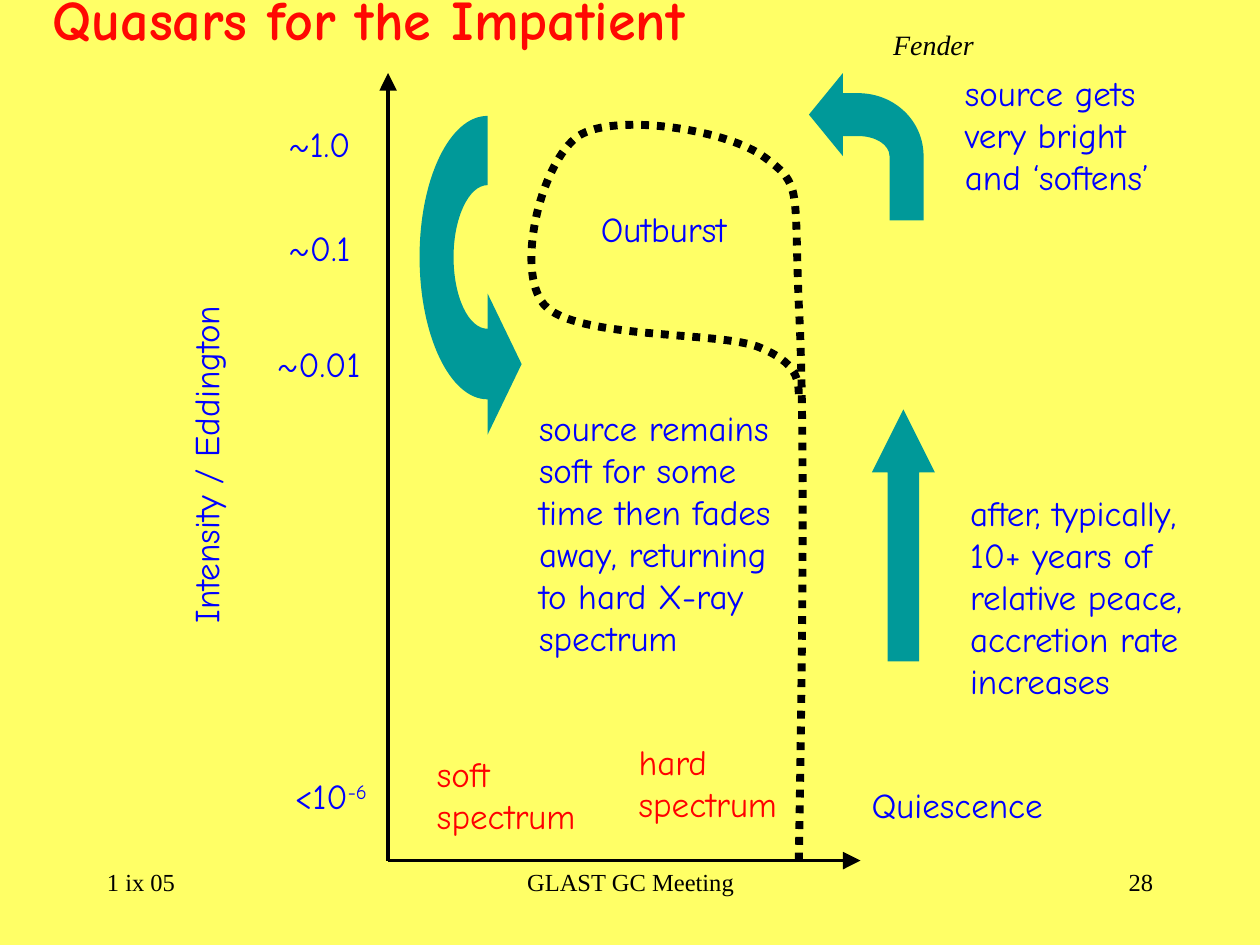
from lxml.etree import SubElement
from pptx import Presentation
from pptx.dml.color import RGBColor
from pptx.enum.dml import MSO_LINE
from pptx.enum.shapes import MSO_CONNECTOR, MSO_SHAPE
from pptx.enum.text import MSO_AUTO_SIZE, PP_ALIGN
from pptx.oxml.ns import qn
from pptx.util import Inches, Pt

YELLOW = RGBColor(0xFF, 0xFF, 0x66)
BLACK = RGBColor(0, 0, 0)
BLUE = RGBColor(0, 0, 0xFF)
RED = RGBColor(0xFF, 0, 0)
TITLE_RED = RGBColor(0xFF, 0x08, 0x02)
TEAL = RGBColor(0, 0x99, 0x99)
COMIC = "Comic Neue"
TIMES = "Times New Roman"


def add_text(shapes, text, x, y, w, h, size=20, font=COMIC, color=BLUE, bold=False,
             italic=False, align=PP_ALIGN.LEFT, wrap=False, grow=True, rotation=0, sup=""):
    """Add a text box with one paragraph per line and an optional superscript."""
    sp = shapes.add_textbox(Inches(x), Inches(y), Inches(w), Inches(h))
    sp.rotation = rotation
    tf = sp.text_frame
    tf.word_wrap = wrap
    tf.auto_size = MSO_AUTO_SIZE.SHAPE_TO_FIT_TEXT if grow else MSO_AUTO_SIZE.NONE
    for i, line in enumerate(text.split("\n")):
        p = tf.add_paragraph() if i else tf.paragraphs[0]
        p.alignment = align
        for part in filter(None, (line, sup)):
            r = p.add_run()
            r.text = part
            r.font.name, r.font.size = font, Pt(size)
            r.font.bold, r.font.italic = bold, italic
            r.font.color.rgb = color
            if part == sup:
                r.font._element.set("baseline", "30000")
    return sp


def add_outline(shapes, x, y, start, segments, close=True):
    """Add a freeform of lines (one point) and cubic curves (three), measured from x, y."""
    points = [(Inches(x + px), Inches(y + py)) for px, py in (start, *sum(segments, ()))]
    builder = shapes.build_freeform(*points[0], scale=1.0)
    builder.add_line_segments(points[1:], close=close)
    sp = builder.convert_to_shape()
    sp.shadow.inherit = False
    steps = iter(list(sp._element.iter(qn("a:lnTo"))))
    for seg in segments:
        first, *others = [next(steps) for _ in seg]
        if others:
            first.tag = qn("a:cubicBezTo")
            for step in others:
                first.append(step[0])
                step.getparent().remove(step)
    return sp


def fill_teal(sp):
    """Fill a shape with teal and remove its line."""
    sp.fill.solid()
    sp.fill.fore_color.rgb = TEAL
    sp.line.fill.background()


def add_axis(shapes, x1, y1, x2, y2):
    """Add an axis line with a large arrowhead at its end."""
    c = shapes.add_connector(MSO_CONNECTOR.STRAIGHT, *map(Inches, (x1, y1, x2, y2)))
    c.line.color.rgb = BLACK
    c.line.width = Pt(2)
    SubElement(c.line._get_or_add_ln(), qn("a:tailEnd"), type="triangle", w="lg", len="lg")
    SubElement(c._element.spPr, qn("a:effectLst"))


def add_track(shapes, x, y):
    """Add the dotted path of the source through the diagram."""
    sp = add_outline(shapes, x, y, (2.26, 5.94), [
        ((2.29, 4.2), (2.31, 2.46), (2.26, 1.53)),
        ((2.22, 0.6), (2.29, 0.58), (1.99, 0.36)),
        ((1.7, 0.14), (0.8, 0), (0.51, 0.19)),
        ((0.22, 0.39), (0, 1.25), (0.24, 1.53)),
        ((0.48, 1.8), (1.59, 1.74), (1.93, 1.86)),
        ((2.26, 1.99), (2.26, 2.13), (2.26, 2.28)),
    ], close=False)
    sp.fill.background()
    sp.line.color.rgb = BLACK
    sp.line.width = Pt(4.5)
    sp.line.dash_style = MSO_LINE.ROUND_DOT


def add_chart_frame(shapes, x, y, w, h):
    """Add both axes and their labels."""
    base = y + h
    add_axis(shapes, x, base, x + w, base)
    add_axis(shapes, x, base, x, y)
    add_text(shapes, "Intensity / Eddington", x - 2.81, y + 2.88, 2.73, 0.44, rotation=270)
    add_text(shapes, "<10", x - 0.84, y + 5.52, 0.8, 0.44, sup="-6")
    for label, dx, dy, width in (("~0.01", -0.98, 2.09, 0.86), ("~0.1", -0.89, 1.17, 0.69),
                                 ("~1.0", -0.89, 0.34, 0.69)):
        add_text(shapes, label, x + dx, y + dy, width, 0.44)
    for label, dx, dy in (("soft\nspectrum", 0.29, 5.34), ("hard\nspectrum", 1.89, 5.25)):
        add_text(shapes, label, x + dx, y + dy, 1.3, 0.77, color=RED)
    add_text(shapes, "Quiescence", x + 3.74, y + 5.59, 1.56, 0.44)


def add_rise(shapes, x, y):
    """Add the upward arrow and its note."""
    group = shapes.add_group_shape().shapes
    sp = group.add_shape(MSO_SHAPE.UP_ARROW, Inches(x), Inches(y), Inches(0.5), Inches(2))
    sp.adjustments[0], sp.adjustments[1] = 0.5, 1
    sp.shadow.inherit = False
    fill_teal(sp)
    add_text(group, "after, typically,\n10+ years of\nrelative peace,\naccretion rate\nincreases",
             x + 0.68, y + 0.6, 1.99, 1.77)


def add_outburst(shapes, x, y):
    """Add the bent arrow, the outburst label and the note."""
    group = shapes.add_group_shape().shapes
    add_text(group, "Outburst", x - 1.75, y + 1.02, 1.2, 0.44)
    fill_teal(add_outline(group, x, y, (0.91, 1.17), [
        ((0.91, 0.66),), ((0.91, 0.38), (0.68, 0.16), (0.39, 0.16)),
        ((0.27, 0.16),), ((0.27, 0),), ((0, 0.33),), ((0.27, 0.66),), ((0.27, 0.5),),
        ((0.39, 0.5),), ((0.53, 0.5), (0.64, 0.57), (0.64, 0.66)), ((0.64, 1.17),),
    ]))
    add_text(group, "source gets\nvery bright\nand ‘softens’", x + 1.14, y - 0.06, 1.67, 1.1)


def add_fade(shapes, x, y):
    """Add the curved arrow and its note."""
    group = shapes.add_group_shape().shapes
    fill_teal(add_outline(group, x, y, (0.54, 1.69), [
        ((0.39, 1.69), (0.27, 1.44), (0.27, 1.12)),
        ((0.27, 0.81), (0.39, 0.55), (0.54, 0.55)), ((0.54, 0),),
        ((0.24, 0), (0, 0.5), (0, 1.12)), ((0, 1.74), (0.24, 2.25), (0.54, 2.25)),
        ((0.54, 2.53),), ((0.81, 1.97),), ((0.54, 1.41),),
    ]))
    add_text(group, "source remains\nsoft for some\ntime then fades\naway, returning\n"
             "to hard X-ray\nspectrum", x + 0.85, y + 2.26, 2.04, 2.1)


def add_footer(shapes, x, y, h):
    """Add the date, the meeting name and the slide number."""
    for text, dx, w, align in (("GLAST GC Meeting", 2.67, 3.17, PP_ALIGN.CENTER),
                               ("28", 6.42, 2.08, PP_ALIGN.RIGHT),
                               ("1 ix 05", 0, 2.08, PP_ALIGN.LEFT)):
        add_text(shapes, text, x + dx, y, w, h, size=14, font=TIMES, color=BLACK,
                 align=align, wrap=True, grow=False)


def main():
    """Build the slide and save it."""
    prs = Presentation()
    prs.slide_width, prs.slide_height = Inches(10), Inches(7.5)
    s = prs.slides.add_slide(prs.slide_layouts[6])
    s.background.fill.solid()
    s.background.fill.fore_color.rgb = YELLOW
    add_track(s.shapes, 4.08, 0.89)
    add_text(s.shapes, "Quasars for the Impatient", 0.32, -0.17, 6.03, 0.64, size=32,
             color=TITLE_RED, bold=True, wrap=True)
    add_chart_frame(s.shapes, 3.08, 0.58, 3.75, 6.25)
    add_rise(s.shapes, 6.92, 3.25)
    add_outburst(s.shapes, 6.42, 0.58)
    add_fade(s.shapes, 3.33, 0.92)
    add_text(s.shapes, "Fender", 6.99, 0.17, 0.84, 0.37, size=16, font=TIMES,
             color=BLACK, italic=True)
    add_footer(s.shapes, 0.75, 6.83, 0.5)
    prs.save("out.pptx")


if __name__ == "__main__":
    main()
